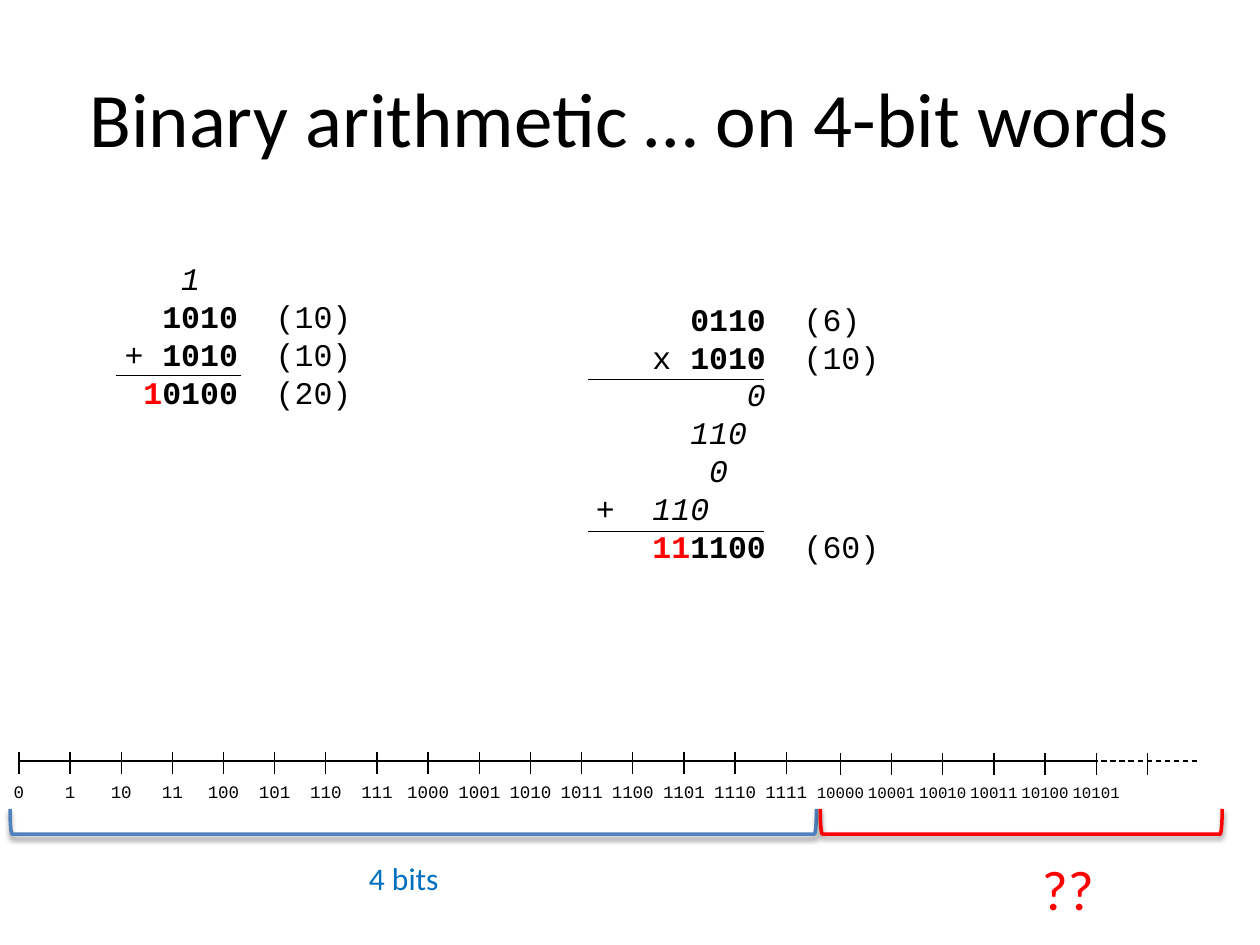
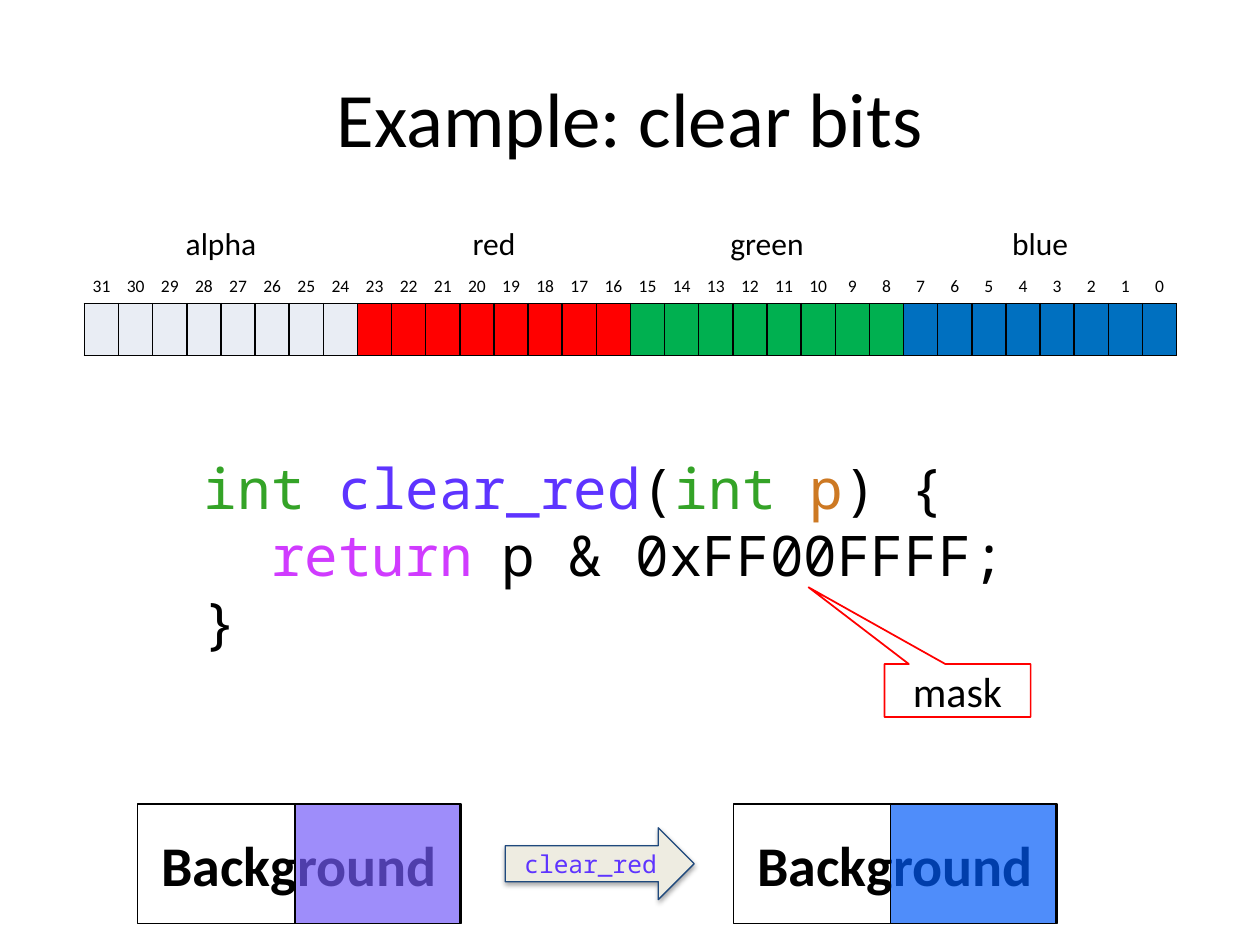
from dataclasses import dataclass

from lxml import etree
from pptx import Presentation
from pptx import util as u
from pptx.enum import dml, shapes, text
from pptx.dml.color import RGBColor
from pptx.oxml import ns

SLIDE_WIDTH, SLIDE_HEIGHT = u.Inches(10), u.Inches(7.5)
COLUMN, ROW = SLIDE_WIDTH // 100, SLIDE_HEIGHT // 75
COLORS = {
    "black": "000000", "red": "FF0000", "green": "00B050", "blue": "0070C0",
    "alpha": "E9EDF4", "bracket": "4F81BD", "type": "34A327",
    "function": "5E34FF", "parameter": "CD7923", "keyword": "D03BFF",
    "arrow": "EEECE1", "arrow_line": "1F497D", "purple": "735AF9", "azure": "005AF9",
}
SANS, COURIER, MONO = "Calibri", "Courier New", "Noto Sans Mono"
CENTER, LEFT = text.PP_ALIGN.CENTER, text.PP_ALIGN.LEFT
CHARACTER = u.Pt(18) * 0.6
TICK_STEP = 4.06


@dataclass(frozen=True)
class Box:
    left: float
    top: float
    width: float
    height: float

    def lengths(self) -> tuple:
        return (round(self.left * COLUMN), round(self.top * ROW),
                round(self.width * COLUMN), round(self.height * ROW))


@dataclass(frozen=True)
class Part:
    words: str
    color: str = "black"
    bold: bool = False
    italic: bool = False


@dataclass(frozen=True)
class SumRow:
    digits: tuple
    end: int
    sign: str = ""
    sign_column: int = 0
    note: str = ""
    note_column: int = 0


@dataclass(frozen=True)
class Axis:
    first_tick: float
    top: float
    ticks: int
    labels: tuple
    label_size: int


@dataclass(frozen=True)
class Pixel:
    left: float
    overlay: str


def rgb(name: str) -> RGBColor:
    return RGBColor.from_string(COLORS[name])


def add_xml(parent, tag: str, **attributes):
    return etree.SubElement(parent, ns.qn(tag), attributes)


def write(paragraph, words, *, size=18, font=SANS, color="black",
          bold=False, italic=False, align=None):
    run = paragraph.add_run()
    run.text = words
    run.font.size, run.font.name = u.Pt(size), font
    run.font.bold, run.font.italic = bold, italic
    run.font.color.rgb = rgb(color)
    if align is not None:
        paragraph.alignment = align


def add_frame(slide, box: Box, wrap=True):
    frame = slide.shapes.add_textbox(*box.lengths()).text_frame
    frame.word_wrap = wrap
    return frame


def add_label(slide, box: Box, words: str, **style):
    write(add_frame(slide, box, wrap=False).paragraphs[0], words, **style)


def add_lines(slide, box: Box, lines, **style):
    frame = add_frame(slide, box)
    for index, parts in enumerate(lines):
        paragraph = frame.add_paragraph() if index else frame.paragraphs[0]
        for part in parts:
            write(paragraph, part.words, color=part.color, **style)


def add_line(slide, left, top, right, bottom, dashed=False):
    line = slide.shapes.add_connector(
        shapes.MSO_CONNECTOR.STRAIGHT, round(left * COLUMN), round(top * ROW),
        round(right * COLUMN), round(bottom * ROW))
    line.line.color.rgb, line.line.width = rgb("black"), u.Pt(0.75)
    if dashed:
        line.line.dash_style = dml.MSO_LINE.DASH
    add_xml(line._element.spPr, "a:effectLst")


def add_figure(slide, kind, box: Box, *, fill=None, opacity=100, line="black",
               weight=0.75, words="", shadow=0, **style):
    shape = slide.shapes.add_shape(kind, *box.lengths())
    shape.line.color.rgb, shape.line.width = rgb(line), u.Pt(weight)
    if fill:
        shape.fill.solid()
        shape.fill.fore_color.rgb = rgb(fill)
        color = shape._element.spPr.find(ns.qn("a:solidFill"))[0]
        add_xml(color, "a:alpha", val=str(opacity * 1000))
    else:
        shape.fill.background()
    shape.shadow.inherit = False
    if shadow:
        effects = shape._element.spPr.find(ns.qn("a:effectLst"))
        outer = add_xml(effects, "a:outerShdw", blurRad=str(u.Pt(3.1)),
                        dist=str(u.Pt(1.7)), dir="5400000", rotWithShape="0")
        color = add_xml(outer, "a:srgbClr", val=COLORS["black"])
        add_xml(color, "a:alpha", val=str(shadow * 1000))
    if words:
        shape.text_frame.vertical_anchor = text.MSO_ANCHOR.MIDDLE
        write(shape.text_frame.paragraphs[0], words, align=CENTER, **style)
    return shape


def add_bracket(slide, box: Box, color: str):
    middle, center = box.left + box.width / 2, box.top + box.height / 2
    upright = Box(middle - box.height / 2, center - box.width / 2,
                  box.height, box.width)
    bracket = add_figure(slide, shapes.MSO_SHAPE.LEFT_BRACKET, upright,
                         line=color, weight=2, shadow=38)
    bracket.rotation = 270


def add_sum(slide, box: Box, rows):
    frame = add_frame(slide, box)
    for index, row in enumerate(rows):
        paragraph = frame.add_paragraph() if index else frame.paragraphs[0]
        tabs = add_xml(paragraph._p.get_or_add_pPr(), "a:tabLst")
        stops = [(row.end, "r")]
        if row.sign_column:
            stops.insert(0, (row.sign_column, "l"))
        if row.note:
            stops.append((row.note_column, "l"))
        for column, side in stops:
            add_xml(tabs, "a:tab", pos=str(round(column * CHARACTER)), algn=side)
        lead = "\t" if row.sign_column else ""
        parts = [Part(f"{lead}{row.sign}\t"), *row.digits]
        if row.note:
            parts.append(Part(f"\t{row.note}"))
        for part in parts:
            write(paragraph, part.words, font=COURIER, color=part.color,
                  bold=part.bold, italic=part.italic)


def add_axis(slide, axis: Axis):
    for index in range(axis.ticks):
        tick = axis.first_tick + index * TICK_STEP
        add_line(slide, tick, axis.top + 1.7, tick, axis.top)
    for index, label in enumerate(axis.labels):
        middle = axis.first_tick + index * TICK_STEP
        add_label(slide, Box(middle - 2.9, axis.top + 1.8, 5.8, 2.6), label,
                  size=axis.label_size, font=COURIER, align=CENTER)


def add_border(cell, sides: str):
    properties = cell._tc.get_or_add_tcPr()
    for index, side in enumerate(sides):
        line = etree.Element(ns.qn(f"a:ln{side}"), w=str(u.Pt(1)))
        fill = add_xml(line, "a:solidFill")
        add_xml(fill, "a:srgbClr", val=COLORS["black"])
        properties.insert(index, line)


def add_register(slide, box: Box, channels: dict):
    bits = 32
    table = slide.shapes.add_table(3, bits, *box.lengths()).table
    table.first_row = table.horz_banding = False
    for row, height in zip(table.rows, (4.1, 2.6, 4.1)):
        row.height = round(height * ROW)
    for index in range(bits):
        names, numbers, cells = (table.cell(row, index) for row in range(3))
        name, color = list(channels.items())[index // 8]
        if index % 8 == 0:
            names.merge(table.cell(0, index + 7))
            write(names.text_frame.paragraphs[0], name, align=CENTER)
        names.fill.background()
        numbers.fill.background()
        numbers.margin_left = numbers.margin_right = numbers.margin_top = 0
        numbers.vertical_anchor = text.MSO_ANCHOR.BOTTOM
        write(numbers.text_frame.paragraphs[0], str(bits - 1 - index),
              size=10, align=CENTER)
        cells.fill.solid()
        cells.fill.fore_color.rgb = rgb(color)
        add_border(numbers, "B")
        add_border(cells, "LRTB")


def add_pixel(slide, pixel: Pixel):
    rectangle = shapes.MSO_SHAPE.RECTANGLE
    add_figure(slide, rectangle, Box(pixel.left, 63.8, 25.7, 9.5),
               words="Background", size=32, bold=True)
    add_figure(slide, rectangle, Box(pixel.left + 12.5, 63.8, 13.1, 9.5),
               fill=pixel.overlay, opacity=69)


def add_titled_slide(presentation, words: str):
    slide = presentation.slides.add_slide(presentation.slide_layouts[5])
    title = slide.shapes.title
    title.left, title.top, title.width, title.height = Box(5, 3, 90, 12.5).lengths()
    title.text_frame.vertical_anchor = text.MSO_ANCHOR.MIDDLE
    write(title.text_frame.paragraphs[0], words, size=44, align=CENTER)
    return slide


def build_arithmetic(presentation):
    slide = add_titled_slide(presentation, "Binary arithmetic … on 4-bit words")
    ten = (Part("1010", bold=True),)
    add_sum(slide, Box(8.9, 20.1, 22, 13.2), (
        SumRow((Part("1", italic=True),), 4),
        SumRow(ten, 6, note="(10)", note_column=8),
        SumRow(ten, 6, "+", note="(10)", note_column=8),
        SumRow((Part("1", "red", True), Part("0100", bold=True)), 6,
               note="(20)", note_column=8),
    ))
    partials = [SumRow((Part(digits, italic=True),), end)
                for digits, end in (("0", 14), ("110", 13), ("0", 12))]
    add_sum(slide, Box(38.8, 23.3, 47.8, 22.2), (
        SumRow((Part("0110", bold=True),), 14, note="(6)", note_column=16),
        SumRow(ten, 14, "x", 8, "(10)", 16),
        *partials,
        SumRow((Part("110", italic=True),), 11, "+", 5),
        SumRow((Part("11", "red", True), Part("1100", bold=True)), 14,
               note="(60)", note_column=16),
    ))
    for left, right, top in ((9.2, 19.1, 29.8), (46.7, 60.6, 30.1), (46.7, 60.6, 42.2)):
        add_line(slide, left, top, right, top)

    add_line(slide, 1.6, 60.4, 86.7, 60.4)
    add_line(slide, 86.7, 60.4, 95.2, 60.4, dashed=True)
    binary = [f"{number:b}" for number in range(22)]
    add_axis(slide, Axis(1.5, 59.7, 16, tuple(binary[:16]), 10))
    add_axis(slide, Axis(66.7, 59.8, 7, tuple(binary[16:]), 9))
    add_bracket(slide, Box(0.8, 64.2, 64, 2), "bracket")
    add_bracket(slide, Box(65.1, 64.2, 31.9, 2), "red")
    add_label(slide, Box(28.3, 67.7, 7.6, 4), "4 bits", color="blue", align=LEFT)
    add_label(slide, Box(81.7, 67.3, 6.2, 6.4), "??", size=32, color="red", align=LEFT)


def build_clear_bits(presentation):
    slide = add_titled_slide(presentation, "Example: clear bits")
    add_lines(slide, Box(15.2, 35.5, 68.3, 17.2), (
        (Part("int ", "type"), Part("clear_red", "function"), Part("("),
         Part("int ", "type"), Part("p", "parameter"), Part(") {")),
        (Part("  return", "keyword"),),
        (Part("}"),),
    ), size=32, font=MONO)
    add_register(slide, Box(6.7, 17.4, 86.7, 10.8),
                 {"alpha": "alpha", "red": "red", "green": "green", "blue": "blue"})
    add_lines(slide, Box(38.8, 40.8, 44.7, 6.4), ((Part("p & 0xFF00FFFF;"),),),
              size=32, font=MONO)
    callout = add_figure(slide, shapes.MSO_SHAPE.RECTANGULAR_CALLOUT,
                         Box(70.2, 52.7, 11.6, 4.2), line="red", weight=1,
                         words="mask", size=24)
    callout.adjustments[0], callout.adjustments[1] = -1.02, -1.95
    for pixel in (Pixel(10.9, "purple"), Pixel(58.2, "azure")):
        add_pixel(slide, pixel)
    add_figure(slide, shapes.MSO_SHAPE.RIGHT_ARROW, Box(40.1, 65.7, 15, 5.7),
               fill="arrow", line="arrow_line", shadow=35,
               words="clear_red", size=14, font=MONO, color="function")


def main():
    presentation = Presentation()
    presentation.slide_width, presentation.slide_height = SLIDE_WIDTH, SLIDE_HEIGHT
    build_arithmetic(presentation)
    build_clear_bits(presentation)
    presentation.save("out.pptx")


if __name__ == "__main__":
    main()
